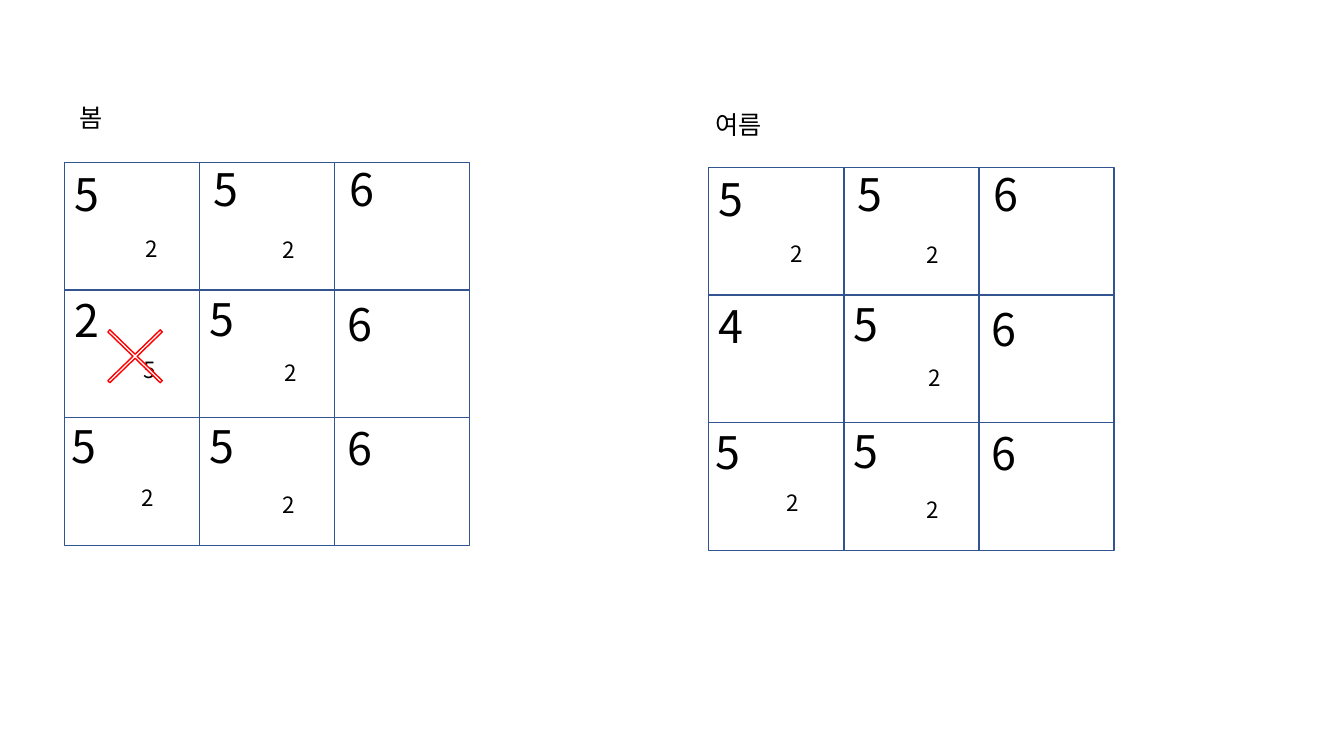
import pptx
import pptx.util
import pptx.dml.color
import pptx.enum.shapes
import pptx.enum.text

Inches = pptx.util.Inches
Pt = pptx.util.Pt
SHAPE = pptx.enum.shapes.MSO_SHAPE

# Content: big and small digits row by row, "" for none
BOARDS = [
    {"title": "봄", "title_at": (0.69, 0.97), "at": (0.64, 1.61),
     "big": ["5", "5", "6", "2", "5", "6", "5", "5", "6"],
     "small": ["2", "2", "", "5", "2", "", "2", "2", ""]},
    {"title": "여름", "title_at": (7, 1.04), "at": (7.03, 1.66),
     "big": ["5", "5", "6", "4", "5", "6", "5", "5", "6"],
     "small": ["2", "2", "", "", "2", "", "2", "2", ""]},
]
CROSS = (0.84, 3.05, 1, 0.97)

# Digit places, measured from the corner of the board
BIG_AT = [(0, -0.01), (1.38, -0.05), (2.73, -0.05),
          (0, 1.25), (1.34, 1.23), (2.71, 1.28),
          (-0.03, 2.5), (1.34, 2.49), (2.71, 2.51)]
SMALL_AT = [(0.71, 0.67), (2.06, 0.68), None,
            (0.69, 1.87), (2.08, 1.9), None,
            (0.67, 3.14), (2.06, 3.21), None]
SIDE = 3
CELL_W, CELL_H = 1.34, 1.27
STEP_Y = 3.8 / SIDE

THEME = {"font": "Noto Sans CJK KR", "ink": "000000", "paper": "FFFFFF",
         "grid": "325491", "cross": "FF0000", "line": 1,
         "big": 32, "small": 16, "title": 18}


def color(name):
    return pptx.dml.color.RGBColor.from_string(THEME[name])


def draw(parent, kind, box, line):
    shape = parent.add_shape(kind, *map(Inches, box))
    shape.shadow.inherit = False
    shape.fill.solid()
    shape.fill.fore_color.rgb = color("paper")
    shape.line.color.rgb = color(line)
    shape.line.width = Pt(THEME["line"])
    return shape


def write(slide, text, size, box):
    frame = slide.shapes.add_textbox(*map(Inches, box)).text_frame
    frame.word_wrap = True
    frame.auto_size = pptx.enum.text.MSO_AUTO_SIZE.SHAPE_TO_FIT_TEXT
    para = frame.paragraphs[0]
    para.text = text
    para.font.name = THEME["font"]
    para.font.size = Pt(THEME[size])
    para.font.color.rgb = color("ink")


def board(slide, data):
    left, top = data["at"]
    # Grid of cells
    group = slide.shapes.add_group_shape()
    for i in range(SIDE * SIDE):
        row, col = divmod(i, SIDE)
        box = (left + col * CELL_W, top + row * STEP_Y, CELL_W, CELL_H)
        draw(group.shapes, SHAPE.RECTANGLE, box, "grid")
    # Digits
    for size, spots, height in (("big", BIG_AT, 0.64),
                                ("small", SMALL_AT, 0.37)):
        for text, spot in zip(data[size], spots):
            if text:
                box = (left + spot[0], top + spot[1], 0.57, height)
                write(slide, text, size, box)
    # Heading
    write(slide, data["title"], "title", (*data["title_at"], 3.3, 0.4))


def main():
    deck = pptx.Presentation()
    deck.slide_width, deck.slide_height = Inches(13.33), Inches(7.5)
    slide = deck.slides.add_slide(deck.slide_layouts[6])
    for data in BOARDS:
        board(slide, data)
    # Cross over the ruled-out cell
    cross = draw(slide.shapes, SHAPE.MATH_MULTIPLY, CROSS, "cross")
    cross.adjustments[0] = 0.03
    deck.save("out.pptx")


if __name__ == "__main__":
    main()
